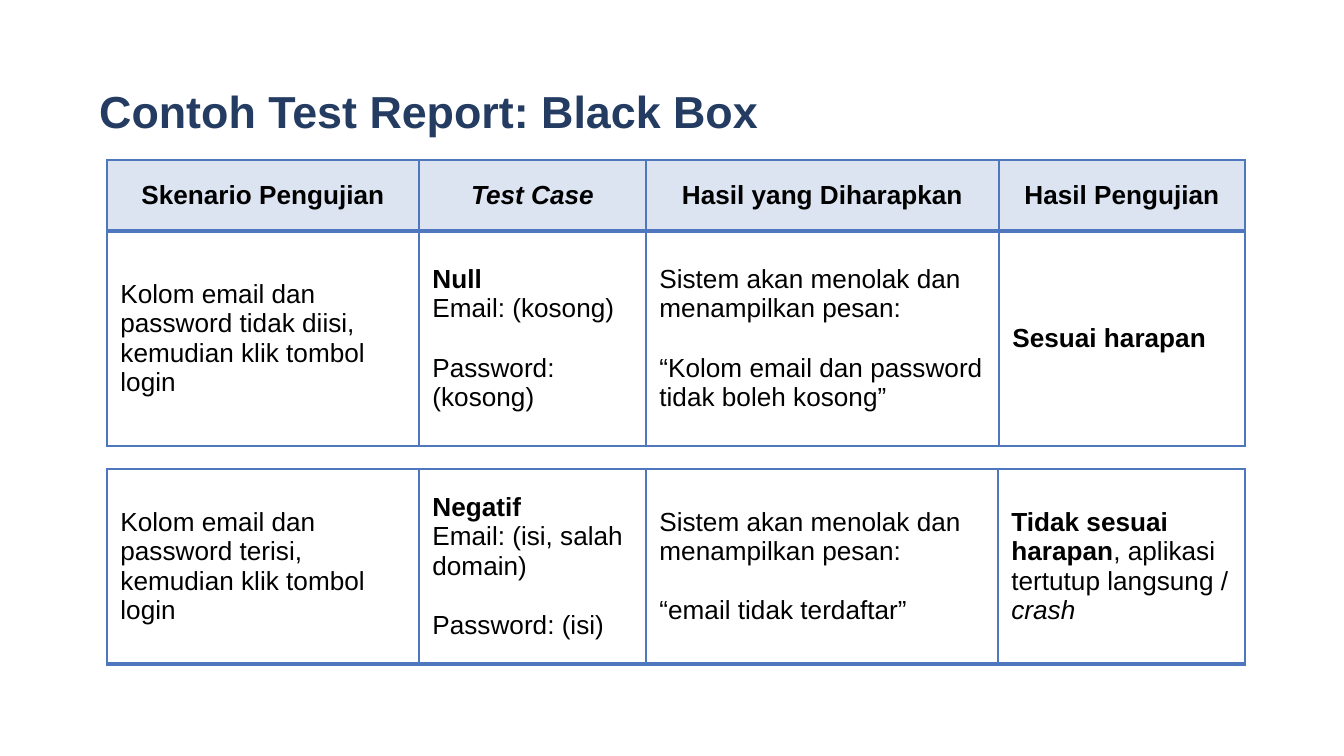
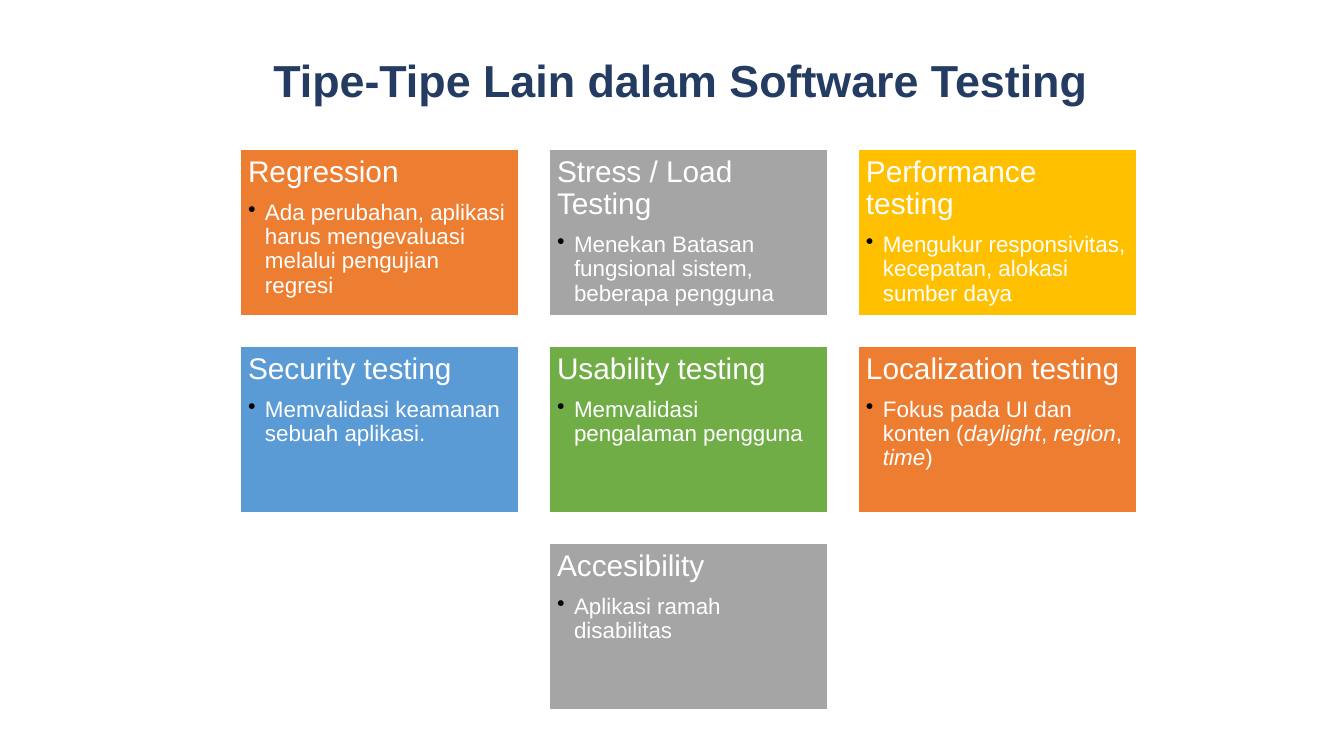
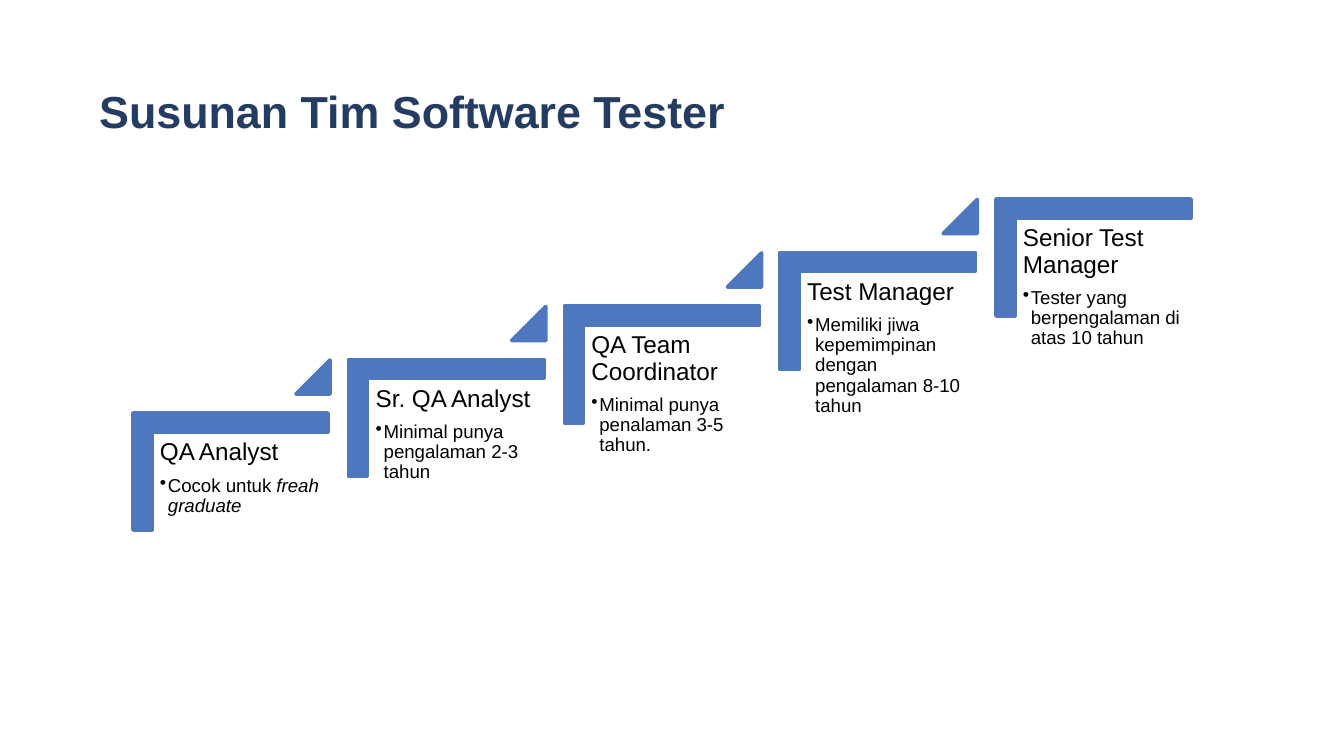
from dataclasses import dataclass

from lxml import etree
from pptx import Presentation
from pptx.dml.color import RGBColor
from pptx.enum.shapes import MSO_SHAPE
from pptx.enum.text import MSO_ANCHOR, PP_ALIGN
from pptx.oxml.ns import qn
from pptx.util import Emu, Pt

RECTANGLE = MSO_SHAPE.RECTANGLE
CORNER = MSO_SHAPE.CORNER
TRIANGLE = MSO_SHAPE.ISOSCELES_TRIANGLE
LEFT, CENTER = PP_ALIGN.LEFT, PP_ALIGN.CENTER
TOP, MIDDLE = MSO_ANCHOR.TOP, MSO_ANCHOR.MIDDLE
EMU_PER_PX = 914400 / 134.4


@dataclass(frozen=True)
class Theme:
    font: str = "Arial"
    navy: str = "243B62"
    blue: str = "4F77BE"
    pale_blue: str = "DCE4F2"
    black: str = "000000"
    white: str = "FFFFFF"
    orange: str = "ED7D31"
    gray: str = "A5A5A5"
    gold: str = "FFC000"
    sky: str = "5B9BD5"
    green: str = "70AD47"
    title_size: int = 24
    table_size: int = 14
    card_sizes: tuple = (16, 12)
    step_sizes: tuple = (13, 10)
    outline: int = 2


THEME = Theme()
SLIDE_SIZE = (1344, 756)

# A paragraph is a list of runs: plain text, or (text, "b" or "i").
# A table cell is a list of blocks of paragraphs, with a gap between blocks.
REPORT_TITLE = "Contoh Test Report: Black Box"
REPORT_HEADER = [
    [[["Skenario Pengujian"]]],
    [[[("Test Case", "i")]]],
    [[["Hasil yang Diharapkan"]]],
    [[["Hasil Pengujian"]]],
]
NULL_CASE = [
    [[["Kolom email dan password tidak diisi, kemudian klik tombol login"]]],
    [[[("Null", "b")], ["Email: (kosong)"]], [["Password: (kosong)"]]],
    [[["Sistem akan menolak dan menampilkan pesan:"]],
     [["“Kolom email dan password tidak boleh kosong”"]]],
    [[[("Sesuai harapan", "b")]]],
]
NEGATIVE_CASE = [
    [[["Kolom email dan password terisi, kemudian klik tombol login"]]],
    [[[("Negatif", "b")], ["Email: (isi, salah domain)"]], [["Password: (isi)"]]],
    [[["Sistem akan menolak dan menampilkan pesan:"]], [["“email tidak terdaftar”"]]],
    [[[("Tidak sesuai harapan", "b"), ", aplikasi tertutup langsung / ", ("crash", "i")]]],
]
# Each row: cells, height, bottom border in points, is header
REPORT_TABLES = [
    {"top": 160, "columns": [312, 227, 353, 246],
     "rows": [(REPORT_HEADER, 71, 2, True), (NULL_CASE, 215, 1, False)]},
    {"top": 469, "columns": [312, 227, 352, 247],
     "rows": [(NEGATIVE_CASE, 195, 2, False)]},
]
REPORT_LEFT = 107

TYPES_TITLE = "Tipe-Tipe Lain dalam Software Testing "
TYPE_ROWS = [
    [
        ("Regression", THEME.orange,
         ["Ada perubahan, aplikasi harus mengevaluasi melalui pengujian regresi"]),
        ("Stress / Load Testing", THEME.gray,
         ["Menekan Batasan fungsional sistem, beberapa pengguna"]),
        ("Performance testing", THEME.gold,
         ["Mengukur responsivitas, kecepatan, alokasi sumber daya"]),
    ],
    [
        ("Security testing", THEME.sky, ["Memvalidasi keamanan sebuah aplikasi."]),
        ("Usability testing", THEME.green, ["Memvalidasi pengalaman pengguna"]),
        ("Localization testing", THEME.orange,
         ["Fokus pada UI dan konten (", ("daylight", "i"), ",", (" region", "i"),
          ", ", ("time", "i"), ")"]),
    ],
    [("Accesibility", THEME.gray, ["Aplikasi ramah disabilitas"])],
]
CARD_ORIGIN, CARD_SIZE, CARD_PITCH = (239, 148), (281, 169), (309, 197)

TEAM_TITLE = "Susunan Tim Software Tester"
TEAM = [
    ("QA Analyst", ["Cocok untuk ", ("freah graduate", "i")]),
    ("Sr. QA Analyst", ["Minimal punya pengalaman 2-3 tahun"]),
    ("QA Team Coordinator", ["Minimal punya penalaman 3-5 tahun."]),
    ("Test Manager", ["Memiliki jiwa kepemimpinan dengan pengalaman 8-10 tahun"]),
    ("Senior Test Manager", ["Tester yang berpengalaman di atas 10 tahun"]),
]
FIRST_CORNER, LAST_CORNER, CORNER_SIZE = (172, 374), (1035, 160), (117, 195)
STEP_TEXT_OFFSET, STEP_TEXT_SIZE = (-19, 59), (176, 155)
TRIANGLE_OFFSET, TRIANGLE_SIZE = (124, -14), (34, 34)


def px(length):
    return Emu(round(length * EMU_PER_PX))


def set_format(target, **values):
    for name, value in values.items():
        setattr(target, name, value)


def add_runs(paragraph, runs, size, color, bold=False):
    for item in runs:
        text, style = (item, "") if isinstance(item, str) else item
        run = paragraph.add_run()
        run.text = text
        set_format(run.font, name=THEME.font, size=Pt(size),
                   bold=bold or style == "b", italic=style == "i")
        run.font.color.rgb = RGBColor.from_string(color)


def add_bullet(paragraph, indent):
    properties = paragraph._p.get_or_add_pPr()
    properties.set("marL", str(px(indent)))
    properties.set("indent", str(-px(indent)))
    bullet_color = etree.SubElement(properties, qn("a:buClr"))
    etree.SubElement(bullet_color, qn("a:srgbClr"), val=THEME.black)
    etree.SubElement(properties, qn("a:buChar"), char="•")


def fill_heading_and_bullet(frame, heading, detail, sizes, color, inset, indent):
    set_format(frame, word_wrap=True, vertical_anchor=TOP,
               **{f"margin_{side}": px(inset) for side in ("left", "top", "right", "bottom")})
    paragraphs = [frame.paragraphs[0], frame.add_paragraph()]
    paragraphs[1].level = 1
    add_bullet(paragraphs[1], indent)
    for paragraph, runs, size in zip(paragraphs, ([heading], detail), sizes):
        set_format(paragraph, alignment=LEFT, line_spacing=0.9)
        add_runs(paragraph, runs, size, color)
    paragraphs[0].space_after = Pt(0.4 * sizes[0])


def add_title(slide, text, box, alignment=LEFT, line_spacing=1.5):
    frame = slide.shapes.add_textbox(*map(px, box)).text_frame
    frame.word_wrap = True
    paragraph = frame.paragraphs[0]
    set_format(paragraph, alignment=alignment, line_spacing=line_spacing)
    add_runs(paragraph, [text], THEME.title_size, THEME.navy, bold=True)


def add_block(slide, kind, position, size, fill, line):
    shape = slide.shapes.add_shape(kind, *map(px, position + size))
    shape.shadow.inherit = False
    shape.fill.solid()
    shape.fill.fore_color.rgb = RGBColor.from_string(fill)
    shape.line.color.rgb = RGBColor.from_string(line)
    shape.line.width = Pt(THEME.outline)
    return shape


def set_borders(cell, top, bottom):
    """Draw the four cell borders; top and bottom are widths in points."""
    properties = cell._tc.get_or_add_tcPr()
    for index, (side, width) in enumerate({"L": 1, "R": 1, "T": top, "B": bottom}.items()):
        line = etree.Element(qn(f"a:ln{side}"), w=str(Pt(width)))
        fill = etree.SubElement(line, qn("a:solidFill"))
        etree.SubElement(fill, qn("a:srgbClr"), val=THEME.blue)
        properties.insert(index, line)


def fill_cell(cell, blocks, is_header):
    cell.vertical_anchor = MIDDLE
    if is_header:
        cell.fill.solid()
        cell.fill.fore_color.rgb = RGBColor.from_string(THEME.pale_blue)
    else:
        cell.fill.background()
    frame = cell.text_frame
    paragraph = None
    for block in blocks:
        for index, runs in enumerate(block):
            starts_later_block = paragraph is not None and index == 0
            paragraph = frame.add_paragraph() if paragraph else frame.paragraphs[0]
            paragraph.alignment = CENTER if is_header else LEFT
            if starts_later_block:
                paragraph.space_before = Pt(THEME.table_size * 1.15)
            add_runs(paragraph, runs, THEME.table_size, THEME.black, bold=is_header)


def add_report_table(slide, top, columns, rows):
    heights = [height for _, height, _, _ in rows]
    table = slide.shapes.add_table(
        len(rows), len(columns), px(REPORT_LEFT), px(top), px(sum(columns)), px(sum(heights))
    ).table
    set_format(table, first_row=False, horz_banding=False)
    for column, width in zip(table.columns, columns):
        column.width = px(width)
    border_above = 1
    for row, (contents, height, border_below, is_header) in zip(table.rows, rows):
        row.height = px(height)
        for cell, blocks in zip(row.cells, contents):
            fill_cell(cell, blocks, is_header)
            set_borders(cell, border_above, border_below)
        border_above = border_below


def build_report(slide):
    add_title(slide, REPORT_TITLE, (86, 50, 1160, 95))
    for table in REPORT_TABLES:
        add_report_table(slide, **table)


def build_types(slide):
    full_row = len(TYPE_ROWS[0])
    for row_index, row in enumerate(TYPE_ROWS):
        first_column = (full_row - len(row)) / 2
        for index, (name, color, detail) in enumerate(row):
            position = (CARD_ORIGIN[0] + (first_column + index) * CARD_PITCH[0],
                        CARD_ORIGIN[1] + row_index * CARD_PITCH[1])
            card = add_block(slide, RECTANGLE, position, CARD_SIZE, color, THEME.white)
            fill_heading_and_bullet(card.text_frame, name, detail, THEME.card_sizes,
                                    THEME.white, inset=9, indent=17)
    add_title(slide, TYPES_TITLE, (141, 46, 1091, 67), CENTER, 1)


def build_team(slide):
    add_title(slide, TEAM_TITLE, (86, 50, 874, 95))
    last = len(TEAM) - 1
    for index, (role, detail) in enumerate(TEAM):
        left, top = (start + (end - start) * index / last
                     for start, end in zip(FIRST_CORNER, LAST_CORNER))
        corner = add_block(slide, CORNER, (left, top), CORNER_SIZE, THEME.blue, THEME.blue)
        corner.rotation = 90
        corner.adjustments[0] = corner.adjustments[1] = 0.16
        text_position = (left + STEP_TEXT_OFFSET[0], top + STEP_TEXT_OFFSET[1])
        text_box = slide.shapes.add_textbox(*map(px, text_position + STEP_TEXT_SIZE))
        fill_heading_and_bullet(text_box.text_frame, role, detail, THEME.step_sizes,
                                THEME.black, inset=7, indent=8)
        if index < last:
            position = (left + TRIANGLE_OFFSET[0], top + TRIANGLE_OFFSET[1])
            triangle = add_block(slide, TRIANGLE, position, TRIANGLE_SIZE,
                                 THEME.blue, THEME.blue)
            triangle.adjustments[0] = 1


def main():
    presentation = Presentation()
    presentation.slide_width, presentation.slide_height = map(px, SLIDE_SIZE)
    blank = presentation.slide_layouts[6]
    for build in (build_report, build_types, build_team):
        build(presentation.slides.add_slide(blank))
    presentation.save("out.pptx")


if __name__ == "__main__":
    main()
